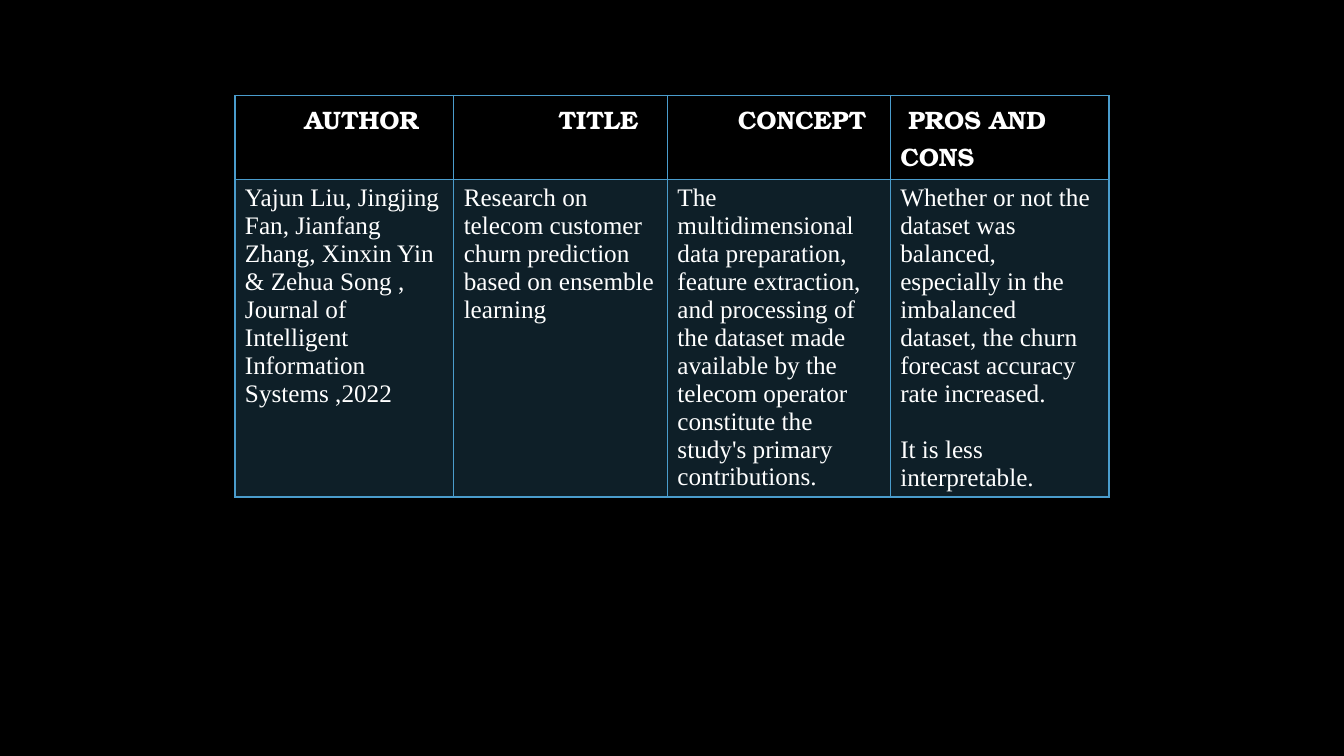
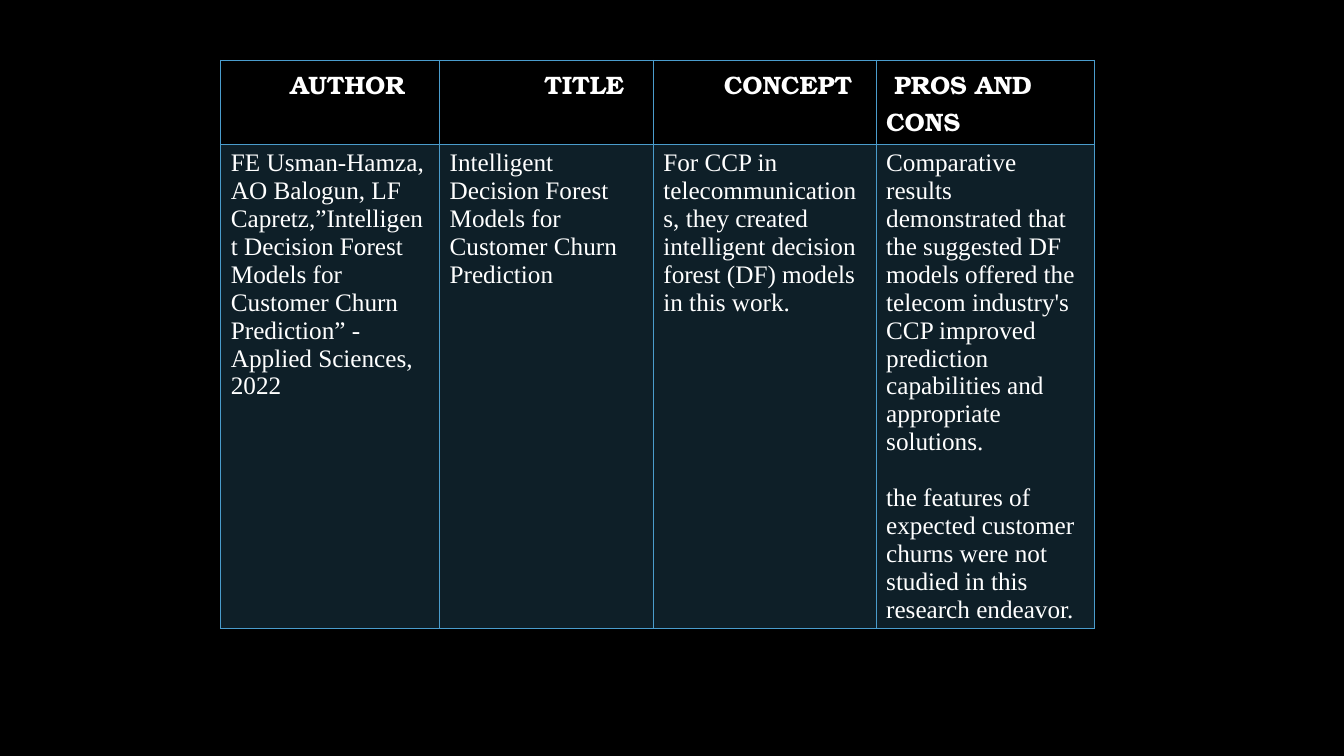
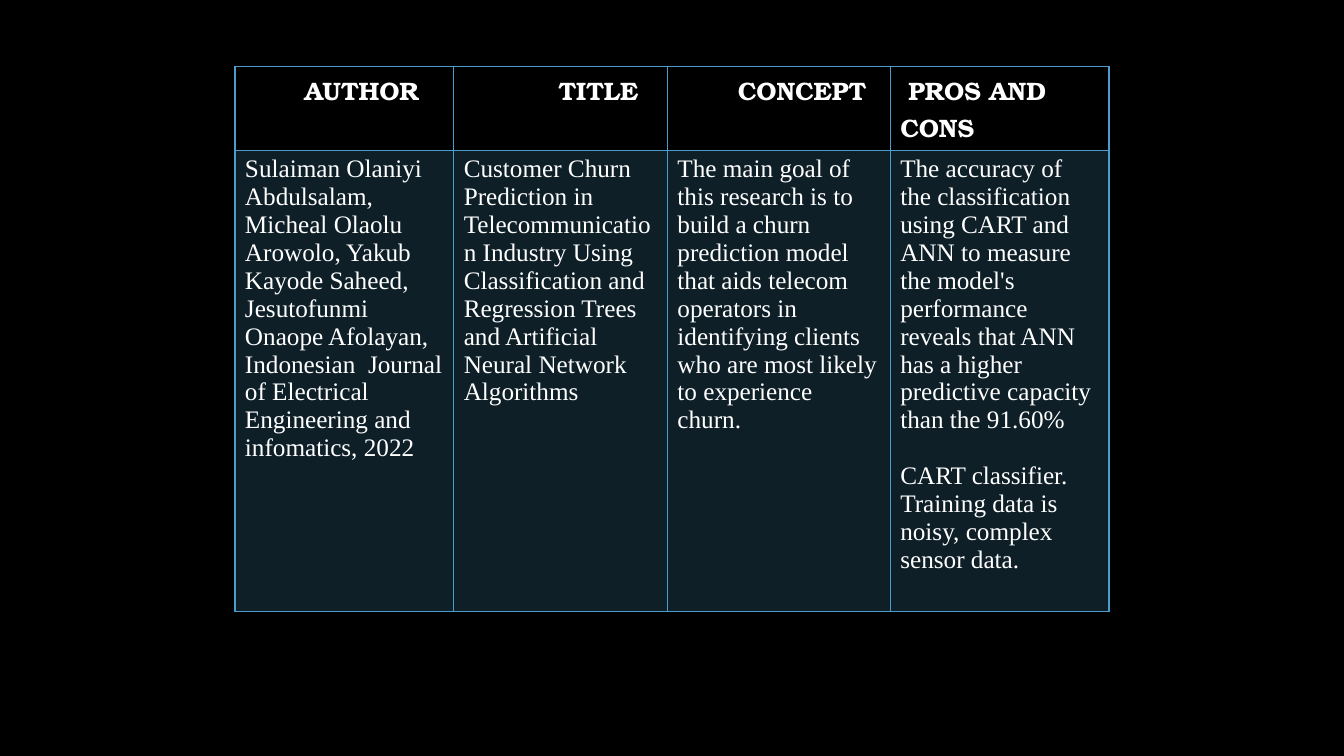
from dataclasses import dataclass

from lxml import etree
from pptx import Presentation
from pptx.dml.color import RGBColor
from pptx.oxml.ns import qn
from pptx.util import Inches, Pt


@dataclass(frozen=True)
class Theme:
    back: str = "000000"
    ink: str = "FFFFFF"
    line: str = "4A9CCC"
    tint: int = 20
    size: int = 18
    gap: int = 20
    rule: int = 1
    head: str = "TeX Gyre Bonum"
    body: str = "Times New Roman"


THEME = Theme()

# Column title, first-line indent, column width
COLS = [
    ("AUTHOR", 0.59, 2.17),
    ("TITLE", 0.94, 2.12),
    ("CONCEPT", 0.6, 2.21),
    ("PROS AND CONS", 0.08, 2.17),
]
HEAD_H = 0.83

# One paper per slide: table corner, body height, paragraphs by column
PAPERS = [
    dict(left=2.33, top=0.95, tall=3.15, cells=[
        ["Yajun Liu, Jingjing Fan, Jianfang Zhang, Xinxin Yin & Zehua Song , "
         "Journal of Intelligent Information Systems ,2022"],
        ["Research on telecom customer churn prediction based on ensemble "
         "learning"],
        ["The multidimensional data preparation, feature extraction, and "
         "processing of the dataset made available by the telecom operator "
         "constitute the study's primary contributions."],
        ["Whether or not the dataset was balanced, especially in the "
         "imbalanced dataset, the churn forecast accuracy rate increased.",
         "It is less interpretable."],
    ]),
    dict(left=2.19, top=0.6, tall=4.8, cells=[
        ["FE Usman-Hamza, AO Balogun, LF Capretz,”Intelligent Decision "
         "Forest Models for Customer Churn Prediction” - Applied Sciences, "
         "2022"],
        ["Intelligent Decision Forest Models for Customer Churn Prediction"],
        ["For CCP in telecommunications, they created intelligent decision "
         "forest (DF) models in this work."],
        ["Comparative results demonstrated that the suggested DF models "
         "offered the telecom industry's CCP improved prediction "
         "capabilities and appropriate solutions.",
         "the features of expected customer churns were not studied in this "
         "research endeavor."],
    ]),
    dict(left=2.33, top=0.66, tall=4.58, cells=[
        ["Sulaiman Olaniyi Abdulsalam, Micheal Olaolu Arowolo, Yakub Kayode "
         "Saheed, Jesutofunmi Onaope Afolayan, Indonesian  Journal of "
         "Electrical Engineering and infomatics, 2022"],
        ["Customer Churn Prediction in Telecommunication Industry Using "
         "Classification and Regression Trees and Artificial Neural Network "
         "Algorithms"],
        ["The main goal of this research is to build a churn prediction "
         "model that aids telecom operators in identifying clients who are "
         "most likely to experience churn."],
        ["The accuracy of the classification using CART and ANN to measure "
         "the model's performance reveals that ANN has a higher predictive "
         "capacity than the 91.60%",
         "CART classifier.",
         "Training data is noisy, complex sensor data."],
    ]),
]


def write(frame, texts, font=THEME.body, bold=False, indent=0):
    """Fill a text frame; the second paragraph stands one line apart."""
    for i, text in enumerate(texts):
        para = frame.paragraphs[0] if i == 0 else frame.add_paragraph()
        if i == 1:
            para.space_before = Pt(THEME.gap)
        if indent:
            para._p.get_or_add_pPr().set("indent", str(Inches(indent)))
        run = para.add_run()
        run.text = text
        run.font.name = font
        run.font.size = Pt(THEME.size)
        run.font.bold = bold
        run.font.color.rgb = RGBColor.from_string(THEME.ink)


def frame_cell(cell):
    """Draw the four borders of a cell."""
    props = cell._tc.get_or_add_tcPr()
    for side in ("lnL", "lnR", "lnT", "lnB"):
        line = etree.SubElement(props, qn(f"a:{side}"), w=str(Pt(THEME.rule)))
        fill = etree.SubElement(line, qn("a:solidFill"))
        etree.SubElement(fill, qn("a:srgbClr"), val=THEME.line)


def tint_cell(cell):
    """Fill a cell with the see-through line colour."""
    cell.fill.solid()
    cell.fill.fore_color.rgb = RGBColor.from_string(THEME.line)
    color = cell._tc.tcPr.find(f"{qn('a:solidFill')}/{qn('a:srgbClr')}")
    etree.SubElement(color, qn("a:alpha"), val=str(THEME.tint * 1000))


def add_paper(deck, paper):
    slide = deck.slides.add_slide(deck.slide_layouts[6])
    wide = sum(width for _, _, width in COLS)
    table = slide.shapes.add_table(
        2, len(COLS), Inches(paper["left"]), Inches(paper["top"]),
        Inches(wide), Inches(HEAD_H + paper["tall"])).table
    table.first_row = table.horz_banding = False
    for row, tall in zip(table.rows, (HEAD_H, paper["tall"])):
        row.height = Inches(tall)

    for c, (title, indent, width) in enumerate(COLS):
        table.columns[c].width = Inches(width)
        head, body = table.cell(0, c), table.cell(1, c)
        for cell in (head, body):
            frame_cell(cell)
        head.fill.background()
        tint_cell(body)
        write(head.text_frame, [title], font=THEME.head, bold=True,
              indent=indent)
        write(body.text_frame, paper["cells"][c])


def main():
    deck = Presentation()
    deck.slide_width, deck.slide_height = Inches(13.33), Inches(7.5)
    # Shared black background
    fill = deck.slide_master.background.fill
    fill.solid()
    fill.fore_color.rgb = RGBColor.from_string(THEME.back)
    for paper in PAPERS:
        add_paper(deck, paper)
    deck.save("out.pptx")


if __name__ == "__main__":
    main()
